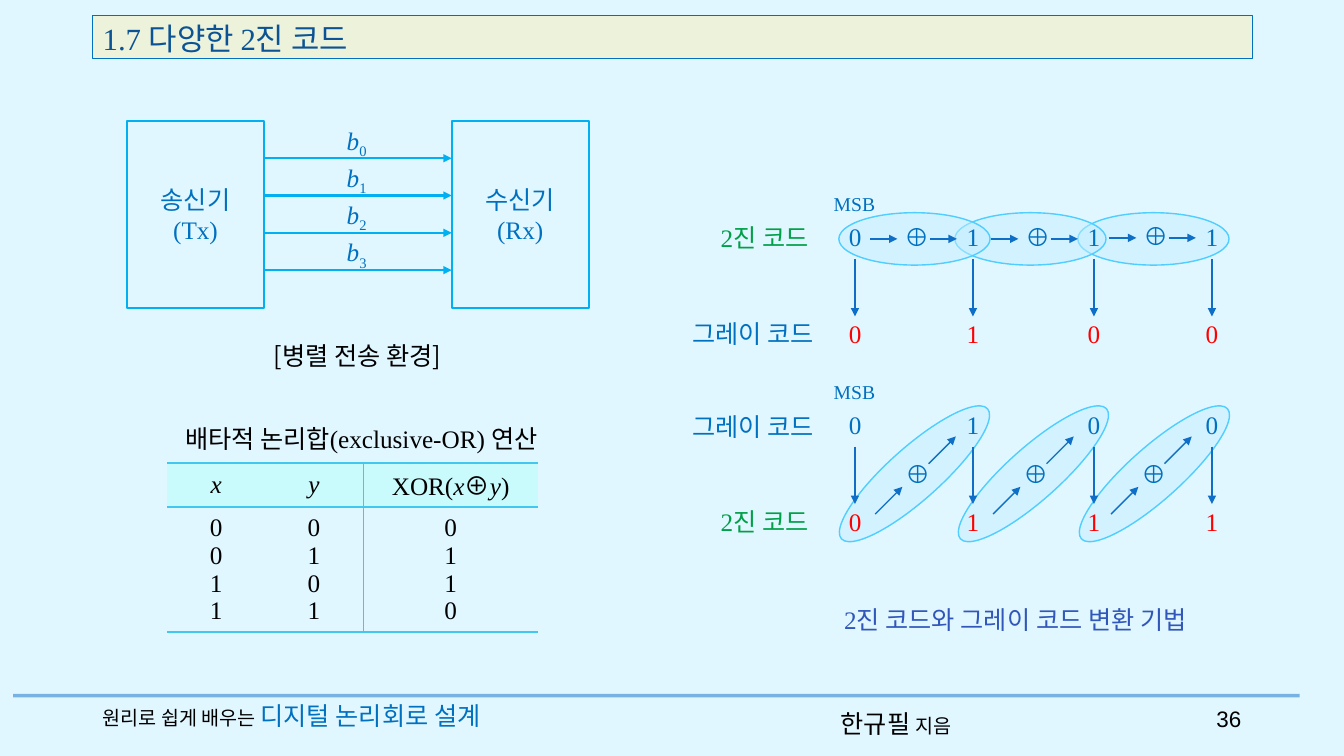
from lxml import etree
from pptx import Presentation
from pptx import util as u
from pptx.dml.color import RGBColor
from pptx.enum import shapes, text
from pptx.oxml import ns

BLUE = RGBColor(0x00, 0x70, 0xC0)
NAVY = RGBColor(0x0B, 0x53, 0x94)
INDIGO = RGBColor(0x30, 0x57, 0xB9)
ARROW = RGBColor(0x0F, 0x6F, 0xC6)
CYAN = RGBColor(0x00, 0xB0, 0xF0)
RING = RGBColor(0x4F, 0xCE, 0xFF)
GRID = RGBColor(0x42, 0xC7, 0xF1)
HEAD = RGBColor(0xC9, 0xFA, 0xFC)
SKY = RGBColor(0xC4, 0xEF, 0xFF)
PALE = RGBColor(0xE1, 0xF7, 0xFF)
CREAM = RGBColor(0xED, 0xF3, 0xDB)
GREEN = RGBColor(0x00, 0xA0, 0x48)
RED = RGBColor(0xFF, 0x00, 0x00)
BLACK = RGBColor(0x00, 0x00, 0x00)
SERIF = "Times New Roman"
SANS = "Noto Sans CJK KR"
MID = text.PP_ALIGN.CENTER
RIGHT = text.PP_ALIGN.RIGHT
ITAL = {"italic": True}
COLS = [8.32, 9.49, 10.69, 11.86]


def sub(node, tag, **attrs):
    return etree.SubElement(node, ns.qn(tag), attrs)


class Deck:
    """Holds the text style and the current slide, and draws each kind of element."""

    def __init__(self, slide):
        self.slide = slide
        self.base = {"size": 18, "name": SERIF, "italic": False, "color": BLUE}

    def fill_in(self, frame, lines, align=None, gap=None, **style):
        for i, line in enumerate(lines):
            para = frame.paragraphs[0] if i == 0 else frame.add_paragraph()
            para.alignment = align
            para.line_spacing = gap
            for part in [line] if isinstance(line, str) else line:
                words, own = (part, {}) if isinstance(part, str) else part
                self.phrase(para, words, {**self.base, **style, **own})

    def phrase(self, para, words, look):
        run = para.add_run()
        run.text = words
        run.font.color.rgb = look["color"]
        vals = {"name": look["name"], "size": u.Pt(look["size"]), "italic": look["italic"]}
        for key, val in vals.items():
            setattr(run.font, key, val)
        props = run._r.get_or_add_rPr()
        sub(props, "a:ea", typeface=SANS)
        if "drop" in look:
            props.set("baseline", str(look["drop"]))

    def label(self, x, y, w, h, *lines, wrap=False, grow=True, **style):
        box = self.slide.shapes.add_textbox(*map(u.Inches, (x, y, w, h)))
        frame = box.text_frame
        frame.word_wrap = wrap
        kinds = text.MSO_AUTO_SIZE
        frame.auto_size = kinds.SHAPE_TO_FIT_TEXT if grow else kinds.NONE
        self.fill_in(frame, lines, **style)

    def shape(self, kind, x, y, w, h, edge, width, fill=None, alpha=None, turn=0):
        item = self.slide.shapes.add_shape(kind, *map(u.Inches, (x, y, w, h)))
        item.shadow.inherit = False
        item.rotation = turn
        item.line.color.rgb = edge
        item.line.width = u.Pt(width)
        if fill is None:
            item.fill.background()
        else:
            item.fill.solid()
            item.fill.fore_color.rgb = fill
        if alpha:
            tint = item._element.spPr.find(ns.qn("a:solidFill"))[0]
            sub(tint, "a:alpha", val=str(alpha * 1000))
        return item.text_frame

    def box(self, x, y, w, h, *lines, edge=CYAN, width=1.5, fill=None,
            anchor=text.MSO_ANCHOR.MIDDLE, **style):
        frame = self.shape(shapes.MSO_SHAPE.RECTANGLE, x, y, w, h, edge, width, fill)
        frame.vertical_anchor = anchor
        self.fill_in(frame, lines, **style)

    def ring(self, x, y, w, turn=0):
        self.shape(shapes.MSO_SHAPE.OVAL, x, y, w, 0.52, RING, 1, SKY, 50, turn)

    def line(self, x1, y1, x2, y2, color=ARROW, width=1, head=True, alpha=None):
        kind = shapes.MSO_CONNECTOR.STRAIGHT
        item = self.slide.shapes.add_connector(kind, *map(u.Inches, (x1, y1, x2, y2)))
        item.line.color.rgb = color
        item.line.width = u.Pt(width)
        props = item._element.spPr
        edge = props.find(ns.qn("a:ln"))
        if alpha:
            sub(edge.find(ns.qn("a:solidFill"))[0], "a:alpha", val=str(alpha * 1000))
        if head:
            sub(edge, "a:tailEnd", type="triangle")
        sub(props, "a:effectLst")

    def digits(self, y, bits, color):
        for x, bit in zip(COLS, bits):
            self.label(x, y, 0.34, 0.4, bit, color=color)

    def drops(self, y):
        for x in COLS:
            self.line(x + 0.16, y, x + 0.16, y + 0.57)

    def table(self, x, y, cols, rows, cells):
        size = sum(cols), sum(rows)
        frame = self.slide.shapes.add_table(len(rows), len(cols), *map(u.Inches, (x, y, *size)))
        grid = frame.table
        grid.first_row = grid.horz_banding = False
        style = grid._tbl.tblPr.find(ns.qn("a:tableStyleId"))
        style.text = "{2D5ABB26-0587-4C30-8999-92F81FD0307C}"
        for col, w in zip(grid.columns, cols):
            col.width = u.Inches(w)
        for r, h in enumerate(rows):
            grid.rows[r].height = u.Inches(h)
            for c, lines in enumerate(cells[r]):
                self.cell(grid.cell(r, c), lines, r == 0, {1: "R", 2: "L"}.get(c, ""))

    def cell(self, cell, lines, head, side):
        vals = {"margin_left": 0.07, "margin_right": 0.07, "margin_top": 0.02, "margin_bottom": 0.02}
        for key, val in vals.items():
            setattr(cell, key, u.Inches(val))
        cell.vertical_anchor = text.MSO_ANCHOR.MIDDLE
        self.fill_in(cell.text_frame, lines, MID, color=BLACK)
        props = cell._tc.get_or_add_tcPr()
        for name in side + "TB":
            width = 1.7 if name in "TB" else 0.28
            edge = sub(props, "a:ln" + name, w=str(int(u.Pt(width))))
            sub(sub(edge, "a:solidFill"), "a:srgbClr", val=str(GRID))
        if head:
            cell.fill.solid()
            cell.fill.fore_color.rgb = HEAD
        else:
            cell.fill.background()


def link(deck):
    for x, name, tag in [(1.26, "송신기", "(Tx)"), (4.48, "수신기", "(Rx)")]:
        deck.box(x, 1.2, 1.36, 1.86, name, tag, align=MID)
    for i in range(4):
        y = 1.57 + 0.37 * i
        deck.line(2.62, y, 4.48, y, CYAN, 1.5)
        deck.label(3.34, y - 0.38, 0.41, 0.4, [("b", ITAL), (str(i), {"drop": -25000})])
    deck.label(2.52, 3.15, 2.05, 0.52, "[병렬 전송 환경]", align=MID, gap=1.6, name=SANS, color=BLACK)


def names(deck, msb, two, gray):
    deck.label(7.05, two, 1.19, 0.4, "2진 코드", color=GREEN)
    deck.label(6.77, gray, 1.55, 0.4, "그레이 코드")
    deck.label(8.17, msb, 0.62, 0.34, "MSB", size=14)


def encode(deck):
    for x in (10.69, 9.47, 8.32):
        deck.ring(x, 2.11, 1.5)
    deck.digits(2.15, "0111", BLUE)
    names(deck, 1.86, 2.16, 3.11)
    deck.digits(3.11, "0100", RED)
    deck.drops(2.57)
    for x, y in [(8.63, 2.37), (9.83, 2.37), (11, 2.36)]:
        deck.label(x + 0.24, y - 0.22, 0.4, 0.4, "⊕")
        for start in (x, x + 0.59):
            deck.line(start, y, start + 0.27, y)


def decode(deck):
    for x in (10.48, 9.28, 8.1):
        deck.ring(x, 4.44, 1.94, 318.3)
    deck.digits(4.01, "0100", BLUE)
    names(deck, 3.72, 4.97, 4.03)
    deck.digits(4.97, "0111", RED)
    deck.drops(4.43)
    for x in (8.68, 9.85, 11.02):
        deck.label(x + 0.2, 4.5, 0.4, 0.4, "⊕")
        for dx, y in [(0, 5.1), (0.53, 4.6)]:
            deck.line(x + dx, y, x + dx + 0.27, y - 0.27)
    deck.label(8.04, 5.77, 4.06, 0.59, ["2", ("진 코드와 그레이 코드 변환 기법", {"name": SANS})],
               align=MID, gap=1.6, color=INDIGO)


def truth(deck):
    xor = ["XOR(", ("x", ITAL), ("⊕", {"name": SANS}), ("y", ITAL), ")"]
    cells = [[[[("x", ITAL)]], [[("y", ITAL)]], [xor]], ["0011", "0101", "0110"]]
    deck.table(1.66, 4.59, [0.97, 0.97, 1.74], [0.44, 1.24], cells)
    deck.label(1.58, 3.97, 4.01, 0.52, "배타적 논리합(exclusive-OR) 연산",
               align=MID, gap=1.6, color=BLACK)


def trim(deck):
    deck.line(0.13, 6.9, 12.89, 6.9, ARROW, 2.5, False, 50)
    deck.label(8.24, 6.98, 1.53, 0.4, ["한규필 ", ("지음", {"size": 14})],
               wrap=True, name=SANS, color=BLACK)
    deck.label(0.92, 6.9, 4.63, 0.4,
               [("원리로 쉽게 배우는 ", {"size": 14, "color": BLACK}), "디지털 논리회로 설계"],
               wrap=True, grow=False)
    deck.label(11.79, 6.95, 0.62, 0.4, "36", wrap=True, grow=False,
               align=RIGHT, size=16, name="Arial", color=BLACK)
    deck.box(0.92, 0.15, 11.5, 0.43, "1.7 다양한 2진 코드", edge=BLUE, width=0.75, fill=CREAM,
             anchor=text.MSO_ANCHOR.TOP, align=text.PP_ALIGN.LEFT, size=22, color=NAVY)


def main():
    show = Presentation()
    show.slide_width, show.slide_height = u.Inches(13.33), u.Inches(7.5)
    slide = show.slides.add_slide(show.slide_layouts[6])
    slide.background.fill.solid()
    slide.background.fill.fore_color.rgb = PALE
    deck = Deck(slide)
    for draw in (link, encode, decode, truth, trim):
        draw(deck)
    show.save("out.pptx")


if __name__ == "__main__":
    main()
